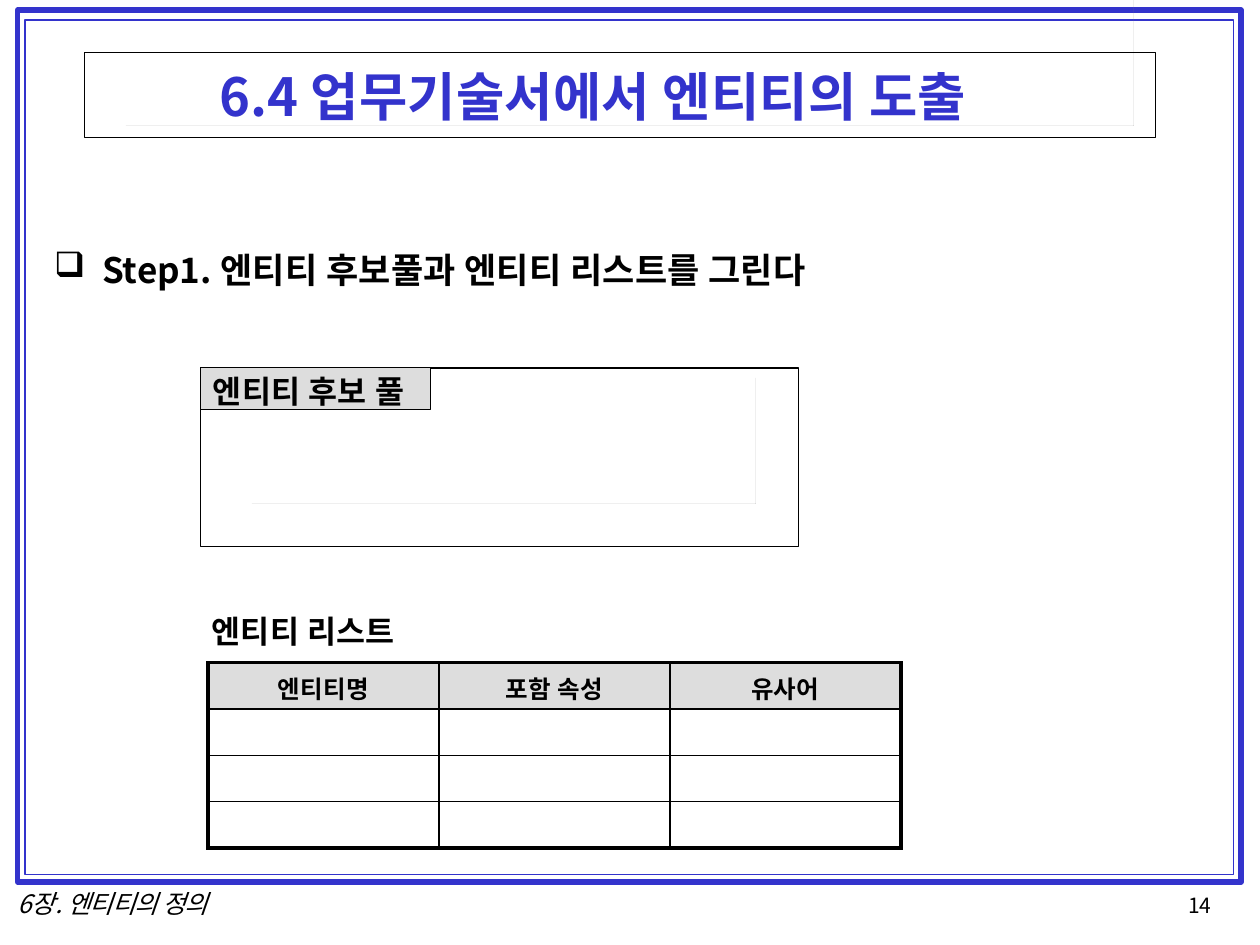
from lxml import etree
from pptx import Presentation
from pptx.dml.color import RGBColor
from pptx.enum.shapes import MSO_SHAPE
from pptx.enum.text import MSO_ANCHOR, PP_ALIGN
from pptx.oxml.ns import qn
from pptx.util import Inches, Pt

RECTANGLE = MSO_SHAPE.RECTANGLE
TOP = MSO_ANCHOR.TOP
LEFT, CENTER = PP_ALIGN.LEFT, PP_ALIGN.CENTER
FONT = "Noto Sans CJK KR"
BLUE, BLACK, GRAY, LIGHT = "3333CC", "000000", "808080", "DDDDDD"
THIN, THICK = 1, 2.25


def color(value):
    return RGBColor.from_string(value)


class SlideBuilder:
    """Holds the style and the current slide."""

    def __init__(self, slide):
        self.slide = slide
        self.shapes = slide.shapes

    def rectangle(self, left, top, width, height, line, weight, fill=None):
        shape = self.shapes.add_shape(
            RECTANGLE, Inches(left), Inches(top), Inches(width), Inches(height))
        shape.shadow.inherit = False
        if fill:
            shape.fill.solid()
            shape.fill.fore_color.rgb = color(fill)
        else:
            shape.fill.background()
        shape.line.color.rgb = color(line)
        shape.line.width = Pt(weight)
        return shape

    def shadowed_box(self, left, top, width, height, depth=0.03):
        """A thin black frame with a gray edge below and to the right."""
        right, bottom = left + width, top + height
        near_left, near_top = left + depth, top + depth
        far_right, far_bottom = right + depth, bottom + depth
        outline = self.shapes.build_freeform(right, near_top, scale=Inches(1))
        outline.add_line_segments([
            (right, bottom), (near_left, bottom), (near_left, far_bottom),
            (far_right, far_bottom), (far_right, near_top)], close=True)
        edge = outline.convert_to_shape()
        edge.shadow.inherit = False
        edge.fill.solid()
        edge.fill.fore_color.rgb = color(GRAY)
        edge.line.fill.background()
        self.rectangle(left, top, width, height, BLACK, 0.72)

    def fill_text(self, frame, runs, size, ink=BLACK, bold=False, italic=False,
                  indent=0, hanging=0, bullet=None, align=LEFT, before=0, spacing=None):
        """Fill a text frame with (text, letter spacing) runs."""
        paragraph = frame.paragraphs[0]
        layout = {"alignment": align, "space_before": Pt(before)}
        if spacing:
            layout["line_spacing"] = Pt(spacing)
        for name, value in layout.items():
            setattr(paragraph, name, value)
        properties = paragraph._p.get_or_add_pPr()
        properties.set("marL", str(Inches(indent)))
        properties.set("indent", str(Inches(hanging)))
        if bullet:
            etree.SubElement(properties, qn("a:buChar")).set("char", bullet)
        style = {"name": FONT, "size": Pt(size), "bold": bold, "italic": italic}
        for text, tracking in runs:
            run = paragraph.add_run()
            run.text = text
            for name, value in style.items():
                setattr(run.font, name, value)
            run.font.color.rgb = color(ink)
            run_properties = run._r.get_or_add_rPr()
            run_properties.set("spc", str(round(tracking * 100)))
            east_asian = etree.Element(qn("a:ea"))
            east_asian.set("typeface", FONT)
            run_properties.find(qn("a:latin")).addnext(east_asian)

    def prepare(self, frame, inset):
        margins = {"margin_left": 0, "margin_right": 0, "margin_bottom": 0,
                   "margin_top": Inches(inset), "vertical_anchor": TOP,
                   "word_wrap": True}
        for name, value in margins.items():
            setattr(frame, name, value)

    def text(self, left, top, width, height, runs, size, inset=0.01, **style):
        box = self.shapes.add_textbox(
            Inches(left), Inches(top), Inches(width), Inches(height))
        self.prepare(box.text_frame, inset)
        self.fill_text(box.text_frame, runs, size, **style)

    def label(self, left, top, width, height, runs, size, **style):
        shape = self.rectangle(left, top, width, height, BLACK, 0.72, LIGHT)
        self.prepare(shape.text_frame, 0.05)
        self.fill_text(shape.text_frame, runs, size, **style)

    def borders(self, cell, weights):
        properties = cell._tc.get_or_add_tcPr()
        for side, weight in weights.items():
            line = etree.SubElement(properties, qn("a:ln" + side))
            line.set("w", str(Pt(weight)))
            fill = etree.SubElement(line, qn("a:solidFill"))
            etree.SubElement(fill, qn("a:srgbClr")).set("val", BLACK)

    def table(self, left, top, width, height, rows, headers):
        """A grid with a shaded header row and a thick outer border."""
        columns = len(headers)
        table = self.shapes.add_table(
            rows, columns, Inches(left), Inches(top),
            Inches(width), Inches(height)).table
        table.first_row = table.horz_banding = False
        for row in range(rows):
            for column in range(columns):
                cell = table.cell(row, column)
                cell.margin_left = cell.margin_right = cell.margin_bottom = 0
                cell.margin_top = Inches(0.06) if row == 0 else 0
                outer = {"L": column == 0, "R": column == columns - 1,
                         "T": row == 0, "B": row == rows - 1}
                self.borders(cell, {side: THICK if edge else THIN
                                    for side, edge in outer.items()})
                if row == 0:
                    cell.fill.solid()
                    cell.fill.fore_color.rgb = color(LIGHT)
                    self.fill_text(cell.text_frame, headers[column], 14,
                                   bold=True, align=CENTER, before=4)
                else:
                    cell.fill.background()


def main():
    presentation = Presentation()
    presentation.slide_width = Inches(10)
    presentation.slide_height = Inches(7.5)
    slide = presentation.slides.add_slide(presentation.slide_layouts[6])
    builder = SlideBuilder(slide)

    # Double page frame
    builder.rectangle(0.14, 0.08, 9.71, 6.92, BLUE, 3)
    builder.rectangle(0.2, 0.16, 9.59, 6.78, BLUE, 0.96)

    # Title
    builder.shadowed_box(0.67, 0.42, 8.5, 0.67)
    builder.text(0.67, 0.5, 8.49, 0.53,
                 [("6.4 업무기술서에서 ", 0.1), ("엔티티의 도출", 0.2)],
                 30, ink=BLUE, bold=True, indent=1.07, before=1)

    # Step heading
    builder.text(0.42, 1.96, 6.32, 0.36,
                 [("Step1. ", 0), ("엔티티 ", 0.2), ("후보풀과 ", 0.1),
                  ("엔티티 ", 0.2), ("리스트를 그린다", 0.1)],
                 20, bold=True, indent=0.39, hanging=-0.38, bullet="❑", before=1.1)

    # Candidate pool
    builder.shadowed_box(1.59, 2.92, 4.75, 1.42)
    builder.label(1.59, 2.92, 1.83, 0.33,
                  [("엔", 0.2), ("티", 0.1), ("티 ", 0.3), ("후", 0.2), ("보 풀", 0.3)],
                  18, bold=True, indent=0.1, before=3.3, spacing=20.7)

    # Entity list
    builder.text(1.67, 4.85, 1.58, 0.33,
                 [("엔티", 0.1), ("티 ", 0.3), ("리스트", 0.1)],
                 18, bold=True, indent=0.01, before=1)
    builder.table(1.65, 5.26, 5.5, 1.47, 4,
                  [[("엔티티명", 0.1)], [("포함 ", 0.2), ("속성", 0.1)], [("유사어", 0.1)]])

    # Footer
    builder.text(0.13, 7.06, 1.9, 0.23, [("6장. ", -0.3), ("엔티티의 정의", -0.5)],
                 14.5, inset=0, italic=True, indent=0.01, spacing=16.6)
    builder.text(9.39, 7.09, 0.29, 0.19, [("14", 0)],
                 12, inset=0, indent=0.04, spacing=13.7)

    presentation.save("out.pptx")


if __name__ == "__main__":
    main()
